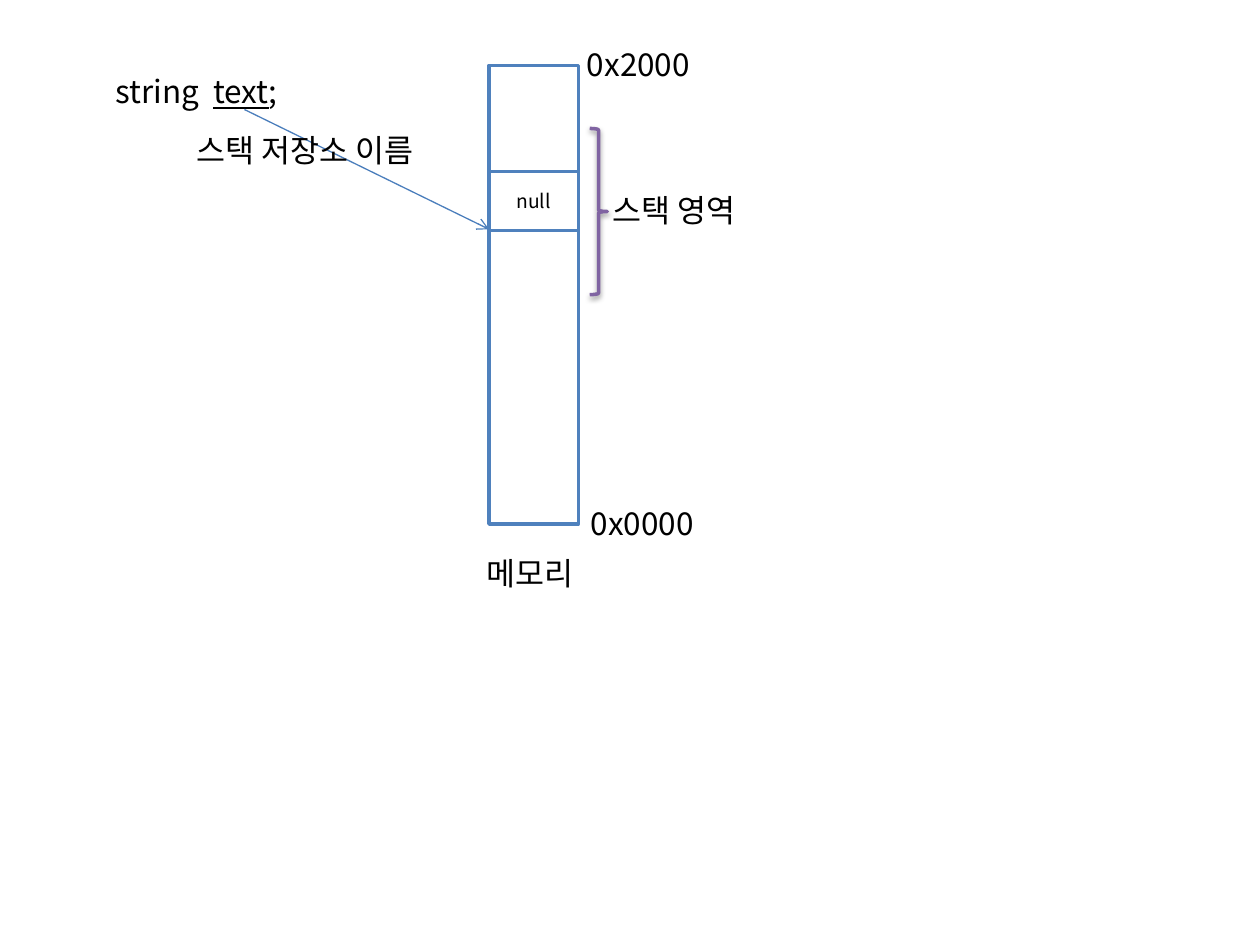
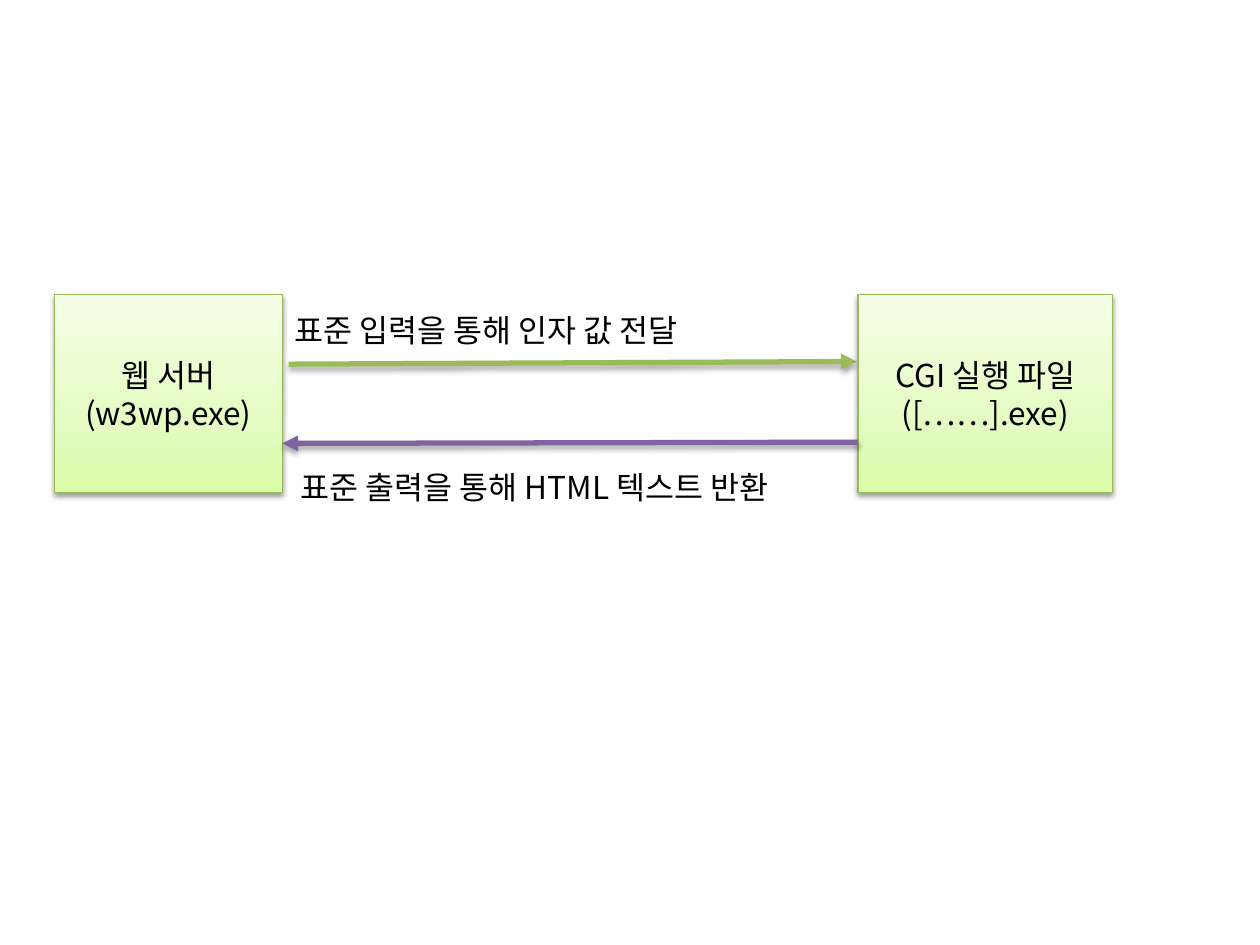
"""Build two diagrams: stack memory and CGI data exchange."""
from dataclasses import dataclass

from lxml import etree
from pptx import Presentation
from pptx.dml.color import RGBColor
from pptx.enum import shapes, text
from pptx.oxml import ns
from pptx.util import Pt


@dataclass(frozen=True)
class Theme:
    font: str = "Noto Sans CJK KR"
    body: int = 18
    small: int = 11
    ink: str = "000000"
    paper: str = "FFFFFF"
    blue: str = "4F81BD"
    pointer: str = "4B7EBC"
    purple: str = "8064A2"
    green: str = "9BBB59"
    green_edge: str = "98B955"
    green_stops: tuple = ((0, "DAFDA7"), (35, "E4FCC2"), (100, "F5FFE7"))


def child(parent, tag, **attrs):
    return etree.SubElement(parent, ns.qn(tag), {k: str(v) for k, v in attrs.items()})


class Deck:
    def __init__(self, theme):
        self.t = theme
        self.prs = Presentation()
        self.prs.slide_width, self.prs.slide_height = Pt(720), Pt(540)
        self.s = None

    def slide(self):
        self.s = self.prs.slides.add_slide(self.prs.slide_layouts[6])

    def style_runs(self, tf, size):
        for p in tf.paragraphs:
            for r in p.runs:
                r.font.size = Pt(size)
                r.font.name = self.t.font
                r.font.color.rgb = RGBColor.from_string(self.t.ink)
                child(r.font._element, "a:ea", typeface=self.t.font)

    def outline(self, sp, color, width):
        sp.line.color.rgb = RGBColor.from_string(color)
        sp.line.width = Pt(width)

    def effects(self, sp, alpha=0, dist=0):
        effects = child(sp._element.spPr, "a:effectLst")
        if alpha:
            shadow = child(effects, "a:outerShdw", blurRad=Pt(3.1), dist=Pt(dist),
                           dir=5400000, rotWithShape=0)
            color = child(shadow, "a:srgbClr", val=self.t.ink)
            child(color, "a:alpha", val=alpha * 1000)

    def label(self, words, x, y, w, h=28.8):
        tf = self.s.shapes.add_textbox(Pt(x), Pt(y), Pt(w), Pt(h)).text_frame
        tf.word_wrap = True
        tf.text = words
        self.style_runs(tf, self.t.body)
        return tf

    def declaration(self, kind, name, x, y, w, h):
        tf = self.label(kind, x, y, w, h)
        p = tf.paragraphs[0]
        gap, variable, end = (p.add_run() for _ in range(3))
        gap.text, variable.text, end.text = " ", name, ";"
        self.style_runs(tf, self.t.body)
        gap.font._element.set("spc", "400")
        variable.font.underline = True

    def shape(self, kind, x, y, w, h, color, width):
        sp = self.s.shapes.add_shape(kind, Pt(x), Pt(y), Pt(w), Pt(h))
        self.outline(sp, color, width)
        return sp

    def fill_text(self, sp, words, size):
        tf = sp.text_frame
        tf.text = words
        tf.vertical_anchor = text.MSO_ANCHOR.MIDDLE
        for p in tf.paragraphs:
            p.alignment = text.PP_ALIGN.CENTER
        self.style_runs(tf, size)

    def cell(self, x, y, w, h, words=""):
        sp = self.shape(shapes.MSO_SHAPE.RECTANGLE, x, y, w, h, self.t.blue, 2)
        sp.fill.solid()
        sp.fill.fore_color.rgb = RGBColor.from_string(self.t.paper)
        self.effects(sp)
        if words:
            self.fill_text(sp, words, self.t.small)

    def brace(self, x, y, w, h):
        sp = self.shape(shapes.MSO_SHAPE.RIGHT_BRACE, x, y, w, h, self.t.purple, 2)
        sp.fill.background()
        self.effects(sp, 38, 1.6)

    def process(self, words, x, y, w, h):
        sp = self.shape(shapes.MSO_SHAPE.RECTANGLE, x, y, w, h, self.t.green_edge, 0.75)
        grad = etree.Element(ns.qn("a:gradFill"), rotWithShape="1")
        stops = child(grad, "a:gsLst")
        for pos, color in self.t.green_stops:
            child(child(stops, "a:gs", pos=pos * 1000), "a:srgbClr", val=color)
        child(grad, "a:lin", ang=16200000, scaled=0)
        sp._element.spPr.find(ns.qn("a:prstGeom")).addnext(grad)
        self.effects(sp, 38, 1.6)
        self.fill_text(sp, words, self.t.body)

    def arrow(self, start, end, color, width, head="triangle", shadow=True):
        ends = [Pt(v) for v in (*start, *end)]
        sp = self.s.shapes.add_connector(shapes.MSO_CONNECTOR.STRAIGHT, *ends)
        self.outline(sp, color, width)
        child(sp.line._get_or_add_ln(), "a:tailEnd", type=head)
        self.effects(sp, 35 if shadow else 0, 1.8)


def stack_memory(d):
    d.slide()
    x, w = 279.4, 51.1
    null_y, null_h = 97.9, 33.8
    d.label("0x0000", 330.5, 284.4, 96.5)
    d.cell(x, 37.4, w, 262.1)
    d.declaration("string", "text", 59, 37.4, 227.5, 116.6)
    d.label("메모리", 270.7, 313.2, 96.5)
    d.arrow((139.7, 62.6), (x, 131), d.t.pointer, 0.75, "arrow", False)
    d.cell(x, null_y, w, null_h, "null")
    d.label("0x2000", 328.3, 22.3, 96.5)
    d.label("스택 저장소 이름", 105.1, 71.3, 157.7)
    d.brace(337, 73.4, 10.1, 95)
    d.label("스택 영역", 342.7, 105.8, 118.1)


def cgi_exchange(d):
    d.slide()
    y, h = 168.5, 113
    server_x, server_w, cgi_x = 31, 130.3, 490.3
    server_right = server_x + server_w
    d.process("웹 서버\n(w3wp.exe)", server_x, y, server_w, h)
    d.arrow((164.9, 208.1), (489.6, 206.6), d.t.green, 3)
    d.process("CGI 실행 파일\n([……].exe)", cgi_x, y, 145.4, h)
    d.label("표준 입력을 통해 인자 값 전달", server_right, 174.2, 309.6)
    d.arrow((cgi_x, 252.7), (server_right, 253.4), d.t.purple, 3)
    d.label("표준 출력을 통해 HTML 텍스트 반환", 164.9, 264.2, 325.4)


def main():
    d = Deck(Theme())
    stack_memory(d)
    cgi_exchange(d)
    d.prs.save("out.pptx")


if __name__ == "__main__":
    main()
